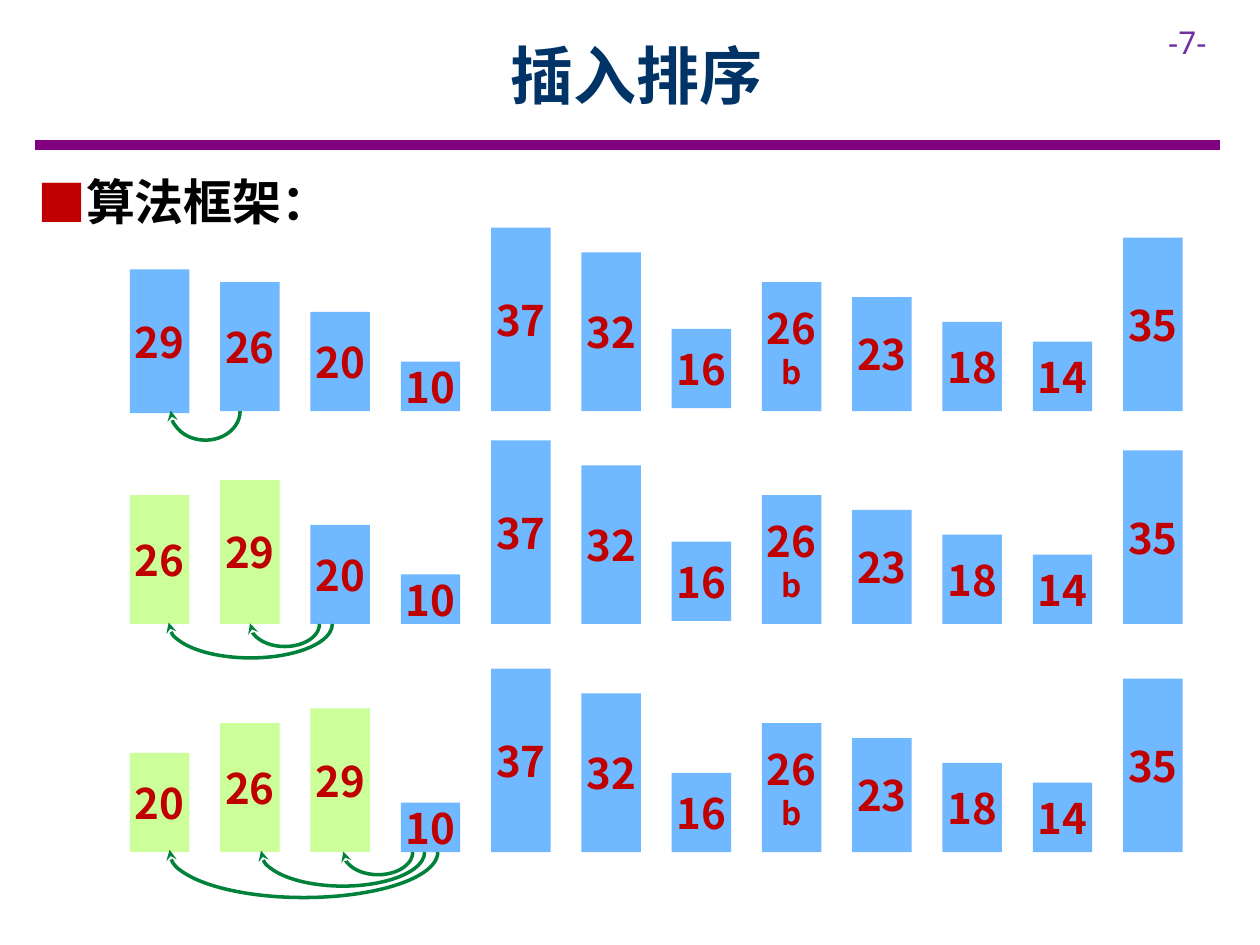
from dataclasses import dataclass, field

from lxml.etree import SubElement
from pptx import Presentation
from pptx.dml.color import RGBColor
from pptx.enum.shapes import MSO_CONNECTOR, MSO_SHAPE
from pptx.enum.text import MSO_ANCHOR, MSO_AUTO_SIZE, PP_ALIGN
from pptx.oxml.ns import qn
from pptx.util import Cm, Pt

CHINESE_FONT = "Noto Sans CJK SC"
BLUE, GREEN, RED, ARROW_GREEN = "70B8FF", "CCFF99", "C00000", "00823B"

# Bar layout in centimetres
FIRST_LEFT, PITCH, BAR_WIDTH, UNIT_HEIGHT = 2.62, 1.82, 1.2, 0.1
UNSORTED_TAIL = ["37", "32", "16", "26b", "23", "18", "14", "35"]


@dataclass
class Arc:
    center: float
    span: float
    depth: float


@dataclass
class Step:
    baseline: float
    head: list[str]
    sorted_count: int
    arcs: list[Arc]
    shifts: dict[str, float] = field(default_factory=dict)


STEPS = [
    Step(8.29, ["29", "26", "20", "10"], 0, [Arc(4.14, 1.4, 1.17)],
         {"29": 0.04, "16": -0.06}),
    Step(12.58, ["26", "29", "20", "10"], 2,
         [Arc(5.74, 1.4, 0.91), Arc(5.05, 3.3, 1.37)], {"16": -0.06}),
    Step(17.18, ["20", "26", "29", "10"], 3,
         [Arc(7.62, 1.4, 0.91), Arc(6.91, 3.3, 1.37), Arc(6.12, 5.41, 1.83)]),
]


def color(value: str) -> RGBColor:
    return RGBColor.from_string(value)


def write(para, text: str, *, size: float, fill: str, font: str = CHINESE_FONT,
          bold: bool = True, align=PP_ALIGN.LEFT) -> None:
    para.alignment = align
    span = para.add_run()
    span.text = text
    span.font.size = Pt(size)
    span.font.bold = bold
    span.font.name = font
    span.font.color.rgb = color(fill)
    SubElement(span.font._element, qn("a:ea"), typeface=font)


def add_box(page, left: float, top: float, width: float, height: float):
    box = page.shapes.add_textbox(Cm(left), Cm(top), Cm(width), Cm(height))
    box.text_frame.word_wrap = True
    return box.text_frame.paragraphs[0]


def add_bar(page, label: str, left: float, bottom: float, fill: str) -> None:
    number, suffix = label[:2], label[2:]
    height = int(number) * UNIT_HEIGHT
    bar = page.shapes.add_shape(MSO_SHAPE.RECTANGLE, Cm(left), Cm(bottom - height),
                                Cm(BAR_WIDTH), Cm(height))
    bar.shadow.inherit = False
    bar.fill.solid()
    bar.fill.fore_color.rgb = color(fill)
    bar.line.fill.background()
    frame = bar.text_frame
    frame.word_wrap = True
    frame.vertical_anchor = MSO_ANCHOR.MIDDLE
    frame.margin_left = frame.margin_right = 0
    frame.margin_top = frame.margin_bottom = Cm(0.25)
    write(frame.paragraphs[0], number, size=24, fill=RED, align=PP_ALIGN.CENTER)
    if suffix:
        write(frame.add_paragraph(), suffix, size=18, fill=RED, align=PP_ALIGN.CENTER)


def add_arc(page, arc: Arc, baseline: float) -> None:
    # A quarter turn swaps the width and height
    shape = page.shapes.add_shape(
        MSO_SHAPE.ARC, Cm(arc.center - arc.depth / 2), Cm(baseline - arc.span / 2),
        Cm(arc.depth), Cm(arc.span))
    shape.rotation = 90
    shape.adjustments[0], shape.adjustments[1] = 162, 54.597
    shape.shadow.inherit = False
    shape.fill.background()
    shape.line.color.rgb = color(ARROW_GREEN)
    shape.line.width = Pt(2)
    SubElement(shape.line._get_or_add_ln(), qn("a:tailEnd"), type="stealth")


deck = Presentation()
deck.slide_width, deck.slide_height = Cm(25.4), Cm(19.05)
page = deck.slides.add_slide(deck.slide_layouts[5])

# Title, rule and page number
title = page.shapes.title
title.left, title.top, title.width, title.height = Cm(2.29), Cm(0.23), Cm(21.1), Cm(2.54)
title.text_frame.auto_size = MSO_AUTO_SIZE.NONE
title.text_frame.vertical_anchor = MSO_ANCHOR.MIDDLE
write(title.text_frame.paragraphs[0], "插入排序", size=36, fill="003366",
      align=PP_ALIGN.CENTER)

rule = page.shapes.add_connector(MSO_CONNECTOR.STRAIGHT, Cm(0.7), Cm(2.92),
                                 Cm(24.6), Cm(2.92))
rule.line.color.rgb = color("800080")
rule.line.width = Pt(6)
SubElement(rule._element.spPr, qn("a:effectLst"))

write(add_box(page, 23.3, 0.33, 2.1, 1.02), "-7-", size=18, fill="7030A0",
      font="Noto Sans", bold=False)

# Bulleted heading
heading = add_box(page, 0.5, 3.33, 24, 1.45)
write(heading, "算法框架：", size=28, fill="000000")
heading.space_after = Pt(6)
properties = heading._p.get_or_add_pPr()
properties.set("marL", str(Cm(0.95)))
properties.set("indent", str(-Cm(0.95)))
SubElement(SubElement(properties, qn("a:buClr")), qn("a:srgbClr"), val=RED)
SubElement(properties, qn("a:buFont"), typeface=CHINESE_FONT)
SubElement(properties, qn("a:buChar"), char="■")

# Sorting steps
for step in STEPS:
    for index, label in enumerate(step.head + UNSORTED_TAIL):
        add_bar(page, label, FIRST_LEFT + index * PITCH,
                step.baseline + step.shifts.get(label, 0),
                GREEN if index < step.sorted_count else BLUE)
    for arc in step.arcs:
        add_arc(page, arc, step.baseline)

deck.save("out.pptx")
